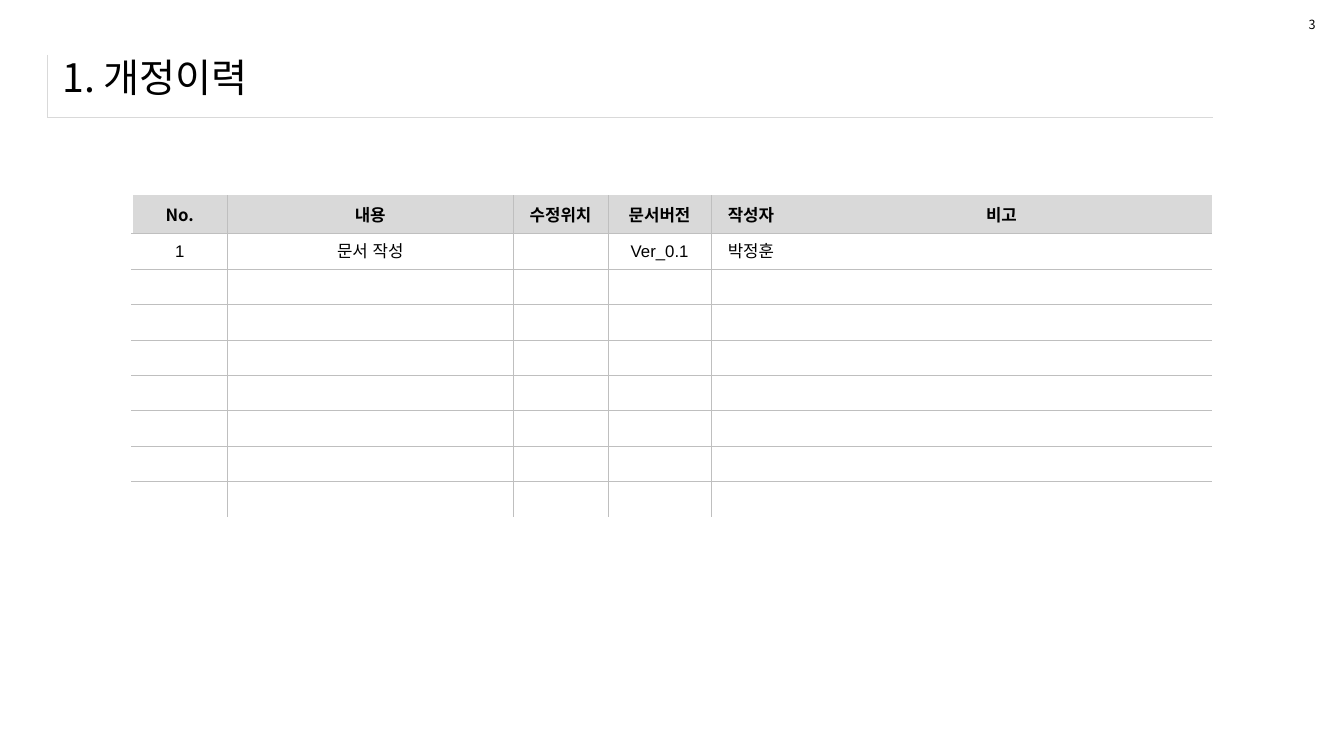
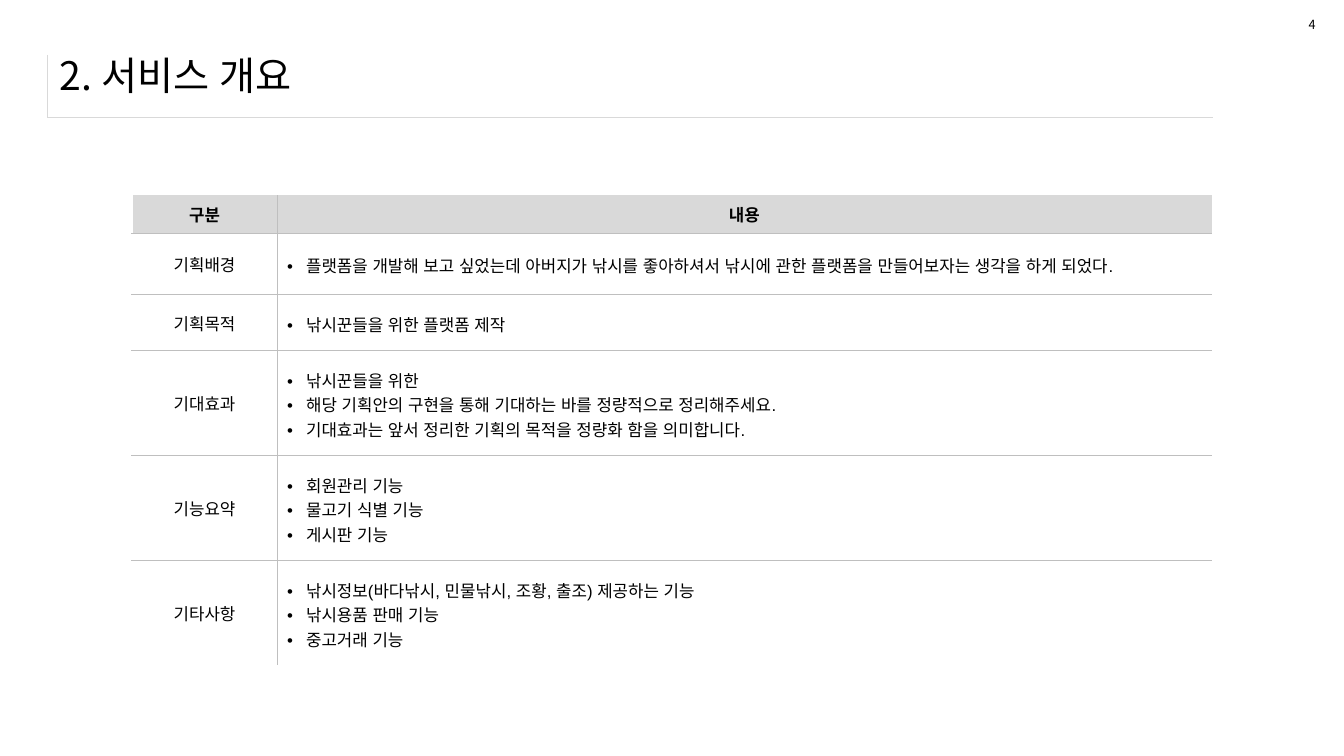
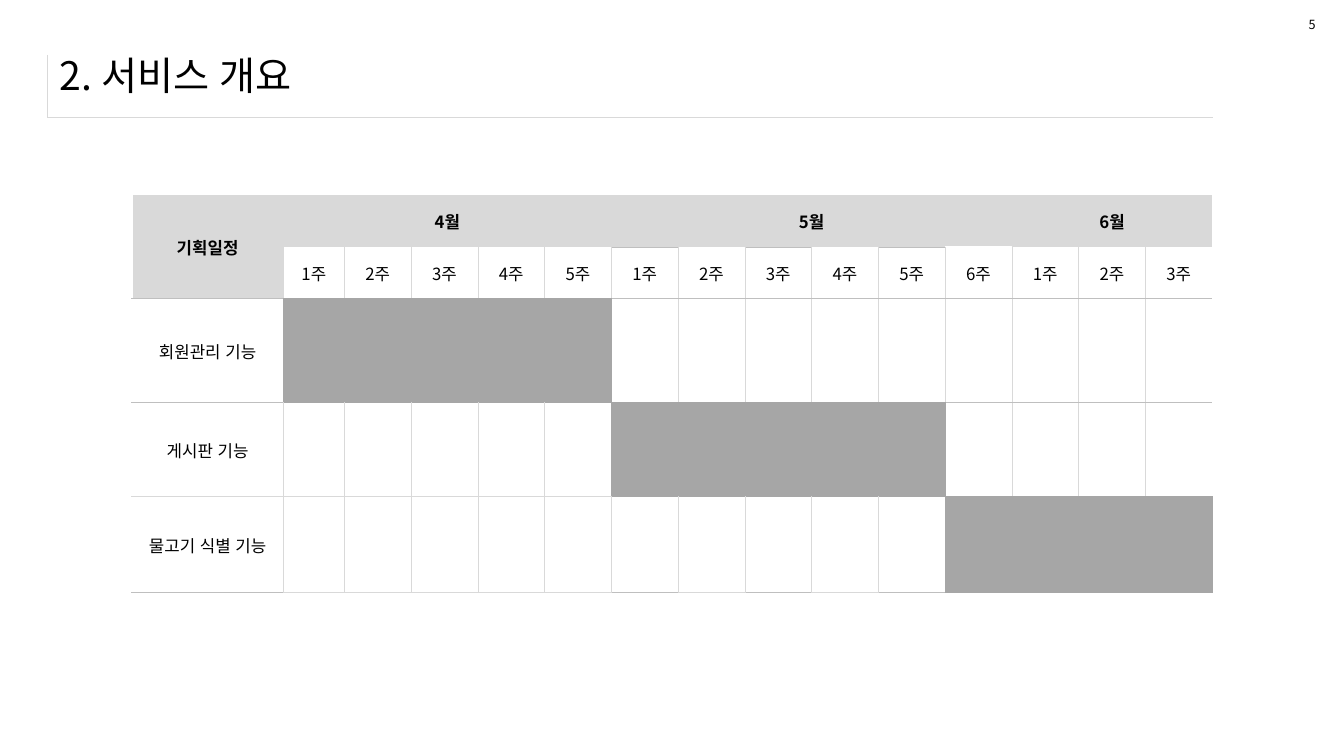
from lxml.etree import SubElement
from pptx import Presentation
from pptx.dml.color import RGBColor
from pptx.enum.text import MSO_ANCHOR as Anchor, MSO_AUTO_SIZE as AutoSize, PP_ALIGN as Align
from pptx.oxml.ns import qn
from pptx.util import Pt

BLACK = RGBColor(0x00, 0x00, 0x00)
WHITE = RGBColor(0xFF, 0xFF, 0xFF)
LIGHT = RGBColor(0xD9, 0xD9, 0xD9)
GRID = RGBColor(0xBF, 0xBF, 0xBF)
BAR = RGBColor(0xA6, 0xA6, 0xA6)

KOREAN = "Noto Sans CJK KR"
LATIN = "Arial"
LINE_WIDTHS = {WHITE: 1, LIGHT: 0.5, GRID: 0.25, BAR: 0.5}
NO_STYLE = "{2D5ABB26-0587-4C30-8999-92F81FD0307C}"
TITLE_ONLY = 5
FIRST_PAGE = 3

TABLE_LEFT, TABLE_TOP = 94.32, 139.3
HEADER_HEIGHT = 27.5

REVISION_COLUMNS = {"No.": 68.2, "내용": 204, "수정위치": 67.9,
                    "문서버전": 73.6, "작성자": 56.9, "비고": 301}
REVISION = ["1", "문서 작성", "", "Ver_0.1", "박정훈", ""]
REVISION_ROWS = 8

OVERVIEW = [
    ("기획배경", 43.6, ["플랫폼을 개발해 보고 싶었는데 아버지가 낚시를 좋아하셔서 "
                    "낚시에 관한 플랫폼을 만들어보자는 생각을 하게 되었다."]),
    ("기획목적", 40, ["낚시꾼들을 위한 플랫폼 제작"]),
    ("기대효과", 75, ["낚시꾼들을 위한",
                  "해당 기획안의 구현을 통해 기대하는 바를 정량적으로 정리해주세요.",
                  "기대효과는 앞서 정리한 기획의 목적을 정량화 함을 의미합니다."]),
    ("기능요약", 75, ["회원관리 기능", "물고기 식별 기능", "게시판 기능"]),
    ("기타사항", 75, ["낚시정보(바다낚시, 민물낚시, 조황, 출조) 제공하는 기능",
                  "낚시용품 판매 기능", "중고거래 기능"]),
]

MONTHS = [("4월", 5), ("5월", 6), ("6월", 3)]
# Task, row height, first and last week column
TASKS = [("회원관리 기능", 74, 1, 5), ("게시판 기능", 67.5, 6, 10), ("물고기 식별 기능", 68.5, 11, 14)]
DARKER_WEEKS = (6, 8, 10)


def write(para, text, size=12, font=KOREAN, asian=None, bold=False, align=Align.CENTER,
          spacing=None):
    """Add text to a paragraph; asian is the East Asian font, the same as font if not given."""
    para.alignment = align
    if spacing:
        para.line_spacing = spacing
    span = para.add_run()
    span.text = text
    span.font.size = Pt(size)
    span.font.bold = bold
    span.font.name = font
    span.font.color.rgb = BLACK
    SubElement(span.font._element, qn("a:ea"), typeface=asian or font)


def add_bullet(para):
    props = para._p.get_or_add_pPr()
    props.set("marL", str(Pt(13.5)))
    props.set("indent", str(-Pt(13.5)))
    SubElement(props, qn("a:buFont"), typeface=LATIN)
    SubElement(props, qn("a:buChar"), char="•")


def write_cell(cell, text, **style):
    write(cell.text_frame.paragraphs[0], text, **style)


def write_bullets(cell, items):
    frame = cell.text_frame
    for index, item in enumerate(items):
        para = frame.add_paragraph() if index else frame.paragraphs[0]
        write(para, item, font=LATIN, align=Align.JUSTIFY, spacing=1.3)
        add_bullet(para)


def fill_cell(cell, color):
    cell.fill.solid()
    cell.fill.fore_color.rgb = color


def write_header(cell, text):
    write_cell(cell, text, bold=True)
    fill_cell(cell, LIGHT)


def draw_border(cell, side, color):
    props = cell._tc.get_or_add_tcPr()
    if color is None:
        line = SubElement(props, qn(f"a:ln{side}"), w="0")
        SubElement(line, qn("a:noFill"))
        return
    line = SubElement(props, qn(f"a:ln{side}"), w=str(Pt(LINE_WIDTHS[color])))
    fill = SubElement(line, qn("a:solidFill"))
    SubElement(fill, qn("a:srgbClr"), val=str(color))


def add_grid(page, widths, heights, horizontal, vertical, left=TABLE_LEFT, top=TABLE_TOP):
    """Add an empty table; horizontal(edge, col) and vertical(row, edge) give line colours."""
    frame = page.shapes.add_table(len(heights), len(widths), Pt(left), Pt(top),
                                  Pt(sum(widths)), Pt(sum(heights)))
    table = frame.table
    table.first_row = table.horz_banding = False
    table._tbl.tblPr.find(qn("a:tableStyleId")).text = NO_STYLE
    for column, width in zip(table.columns, widths):
        column.width = Pt(width)
    for row, height in enumerate(heights):
        table.rows[row].height = Pt(height)
        for col in range(len(widths)):
            cell = table.cell(row, col)
            cell.vertical_anchor = Anchor.MIDDLE
            end = SubElement(cell.text_frame.paragraphs[0]._p, qn("a:endParaRPr"))
            end.set("sz", "1200")
            draw_border(cell, "L", vertical(row, col))
            draw_border(cell, "R", vertical(row, col + 1))
            draw_border(cell, "T", horizontal(row, col))
            draw_border(cell, "B", horizontal(row + 1, col))
            cell.fill.background()
    return table


def add_list_table(page, widths, heights, headers, joined=()):
    """Add a headed table; no line is drawn at the column edges in joined."""
    hidden = (*joined, len(widths))

    def horizontal(edge, col):
        return GRID if 0 < edge < len(heights) else None

    def vertical(row, edge):
        if edge == 0:
            return WHITE
        return None if edge in hidden else GRID

    table = add_grid(page, widths, heights, horizontal, vertical)
    for col, text in enumerate(headers):
        write_header(table.cell(0, col), text)
    return table


def add_title_frame(page):
    """Add the one-cell table whose left and bottom lines hold the title."""
    add_grid(page, [832.5], [44.6],
             horizontal=lambda edge, col: LIGHT if edge == 1 else None,
             vertical=lambda row, edge: LIGHT if edge == 0 else None,
             left=33.84, top=39.2)


def add_page(deck, title, number, left=35.5, top=29.52, height=48.24):
    page = deck.slides.add_slide(deck.slide_layouts[TITLE_ONLY])
    add_title_frame(page)

    box = page.shapes.title
    box.left, box.top, box.width, box.height = Pt(left), Pt(top), Pt(899.28), Pt(height)
    box.text_frame.vertical_anchor = Anchor.MIDDLE
    box.text_frame.auto_size = AutoSize.NONE
    write(box.text_frame.paragraphs[0], title, size=28, asian=LATIN, align=Align.LEFT)

    corner = page.shapes.add_textbox(Pt(927.6), Pt(8.64), Pt(19.44), Pt(18))
    corner.text_frame.word_wrap = False
    write(corner.text_frame.paragraphs[0], str(number), size=9, align=Align.LEFT)
    return page


def add_revisions(page):
    heights = [HEADER_HEIGHT] + [25.3] * REVISION_ROWS
    table = add_list_table(page, list(REVISION_COLUMNS.values()), heights, REVISION_COLUMNS,
                           joined=(5,))
    for col, text in enumerate(REVISION):
        if text:
            write_cell(table.cell(1, col), text, font=LATIN)


def add_overview(page):
    heights = [HEADER_HEIGHT] + [height for _, height, _ in OVERVIEW]
    table = add_list_table(page, [103.68, 667.44], heights, ["구분", "내용"])
    for row, (label, _, items) in enumerate(OVERVIEW, start=1):
        write_cell(table.cell(row, 0), label, font=LATIN, spacing=1.2)
        write_bullets(table.cell(row, 1), items)


def in_bar(row, col):
    if not 2 <= row < 2 + len(TASKS):
        return False
    _, _, first, last = TASKS[row - 2]
    return first <= col <= last


def schedule_horizontal(edge, col):
    if in_bar(edge - 1, col) or in_bar(edge, col):
        return BAR
    if edge == 0 or (edge, col) == (1, 0):
        return None
    if (edge, col) == (1, 11):
        return WHITE
    if edge in (2, 3) or (edge, col) == (5, 0):
        return GRID
    return GRID if edge in (1, 5) and col in DARKER_WEEKS else LIGHT


def schedule_vertical(row, edge):
    if edge == 0:
        return WHITE
    if in_bar(row, edge - 1) or in_bar(row, edge):
        return BAR
    return None if row == 0 or edge == 15 else LIGHT


def add_schedule(page):
    widths = [108, 43.7] + [47.69] * 13
    heights = [37, 37] + [height for _, height, _, _ in TASKS]
    table = add_grid(page, widths, heights, schedule_horizontal, schedule_vertical)

    table.cell(0, 0).merge(table.cell(1, 0))
    write_header(table.cell(0, 0), "기획일정")
    start = 1
    for month, weeks in MONTHS:
        table.cell(0, start).merge(table.cell(0, start + weeks - 1))
        write_header(table.cell(0, start), month)
        for week in range(weeks):
            cell = table.cell(1, start + week)
            write_cell(cell, f"{week + 1}주")
            fill_cell(cell, WHITE)
        start += weeks

    for row, (task, _, first, last) in enumerate(TASKS, start=2):
        write_cell(table.cell(row, 0), task, font=LATIN, spacing=1.2)
        for col in range(first, last + 1):
            fill_cell(table.cell(row, col), BAR)


def main():
    deck = Presentation()
    deck.slide_width, deck.slide_height = Pt(960), Pt(540)
    add_revisions(add_page(deck, "1. 개정이력", FIRST_PAGE, left=37.44, top=32, height=45.36))
    add_overview(add_page(deck, "2. 서비스 개요", FIRST_PAGE + 1))
    add_schedule(add_page(deck, "2. 서비스 개요", FIRST_PAGE + 2))
    deck.save("out.pptx")


if __name__ == "__main__":
    main()
